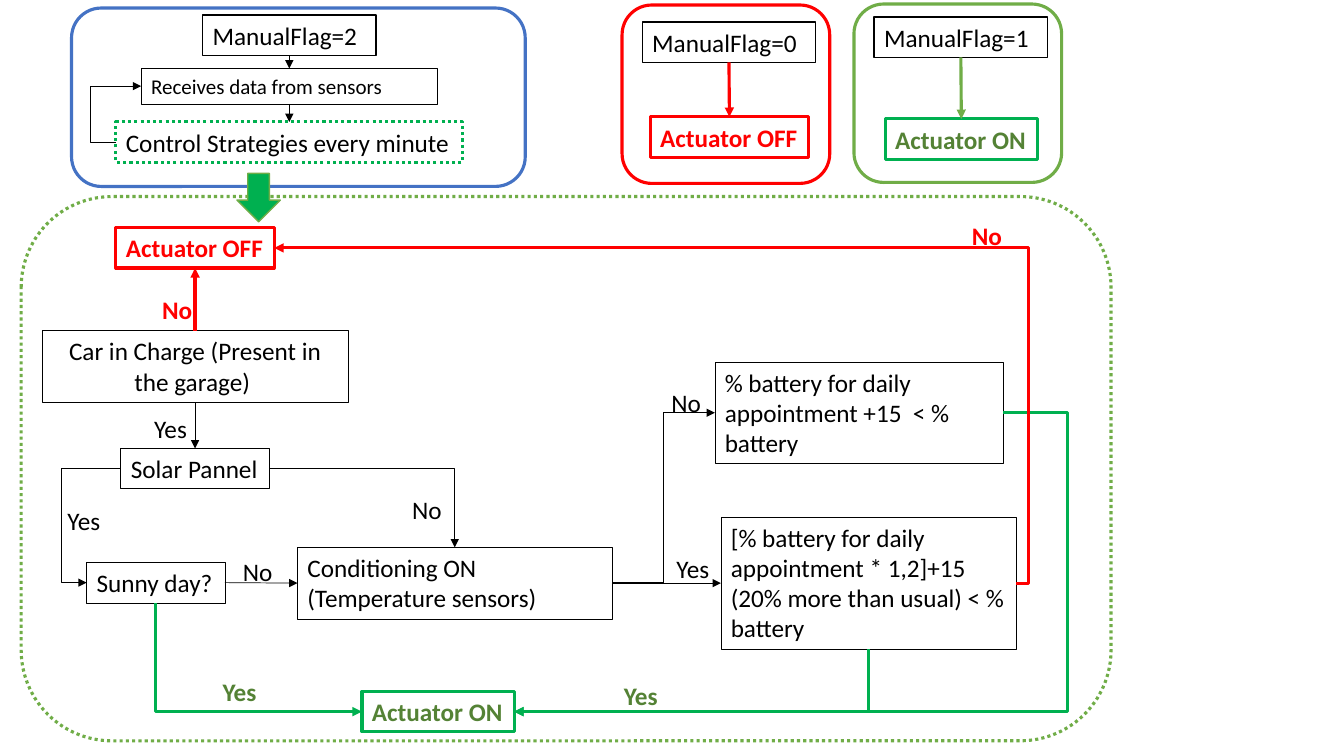
from dataclasses import dataclass

from lxml import etree
from pptx import Presentation
from pptx.dml.color import RGBColor
from pptx.enum.dml import MSO_LINE
from pptx.enum.shapes import MSO_CONNECTOR, MSO_SHAPE
from pptx.enum.text import MSO_ANCHOR, MSO_AUTO_SIZE, PP_ALIGN
from pptx.oxml.ns import qn
from pptx.util import Inches, Pt

RECTANGLE, ROUNDED, DOWN_ARROW = MSO_SHAPE.RECTANGLE, MSO_SHAPE.ROUNDED_RECTANGLE, MSO_SHAPE.DOWN_ARROW
STRAIGHT, ELBOW = MSO_CONNECTOR.STRAIGHT, MSO_CONNECTOR.ELBOW
DOTTED = MSO_LINE.ROUND_DOT
LEFT_ALIGNED, CENTRED = PP_ALIGN.LEFT, PP_ALIGN.CENTER
TOP, LEFT, BOTTOM, RIGHT = range(4)


@dataclass(frozen=True)
class Theme:
    font: str = "Calibri"
    size: float = 18
    small: float = 15
    black: str = "000000"
    red: str = "FF0000"
    green: str = "00B050"
    dark_green: str = "548235"
    soft_green: str = "70AD47"
    blue: str = "4472C4"
    hairline: float = 0.25
    thin: float = 0.5
    medium: float = 1
    thick: float = 2.25


THEME = Theme()
ROW = 0.4  # height of a one-line box, inches

# left, top, width, height, line colour, dash
PANELS = [
    (0.71, 0.08, 4.5, 1.77, THEME.blue, None),
    (6.17, 0.05, 2.06, 1.77, THEME.red, None),
    (8.47, 0.04, 2.06, 1.77, THEME.soft_green, None),
    (0.21, 1.95, 10.81, 5.4, THEME.soft_green, DOTTED),
]
DOWN_ARROW_AREA = (2.35, 1.72, 0.43, 0.48)

# name: text, left, top, width, height, line width
STEPS = {
    "automatic": ("ManualFlag=2", 2.01, 0.15, 1.72, ROW, THEME.medium),
    "manual off": ("ManualFlag=0", 6.37, 0.22, 1.72, ROW, THEME.medium),
    "manual on": ("ManualFlag=1", 8.67, 0.17, 1.72, ROW, THEME.medium),
    "sensors": ("Receives data from sensors", 1.4, 0.68, 2.94, 0.35, THEME.hairline),
    "strategies": ("Control Strategies every minute", 1.15, 1.21, 3.44, ROW, THEME.thick),
    "car": ("Car in Charge (Present in the garage) ", 0.42, 3.28, 3.03, 0.71, THEME.hairline),
    "solar": ("Solar Pannel", 1.2, 4.45, 1.47, ROW, 0.75),
    "sunny": ("Sunny day?", 0.86, 5.58, 1.37, ROW, THEME.hairline),
    "conditioning": ("Conditioning ON (Temperature sensors)", 2.95, 5.43, 3.12, 0.71, THEME.hairline),
    "daily battery": ("% battery for daily appointment +15  < % battery", 7.09, 3.59, 2.86, 1.01, THEME.hairline),
    "extra battery": ("[% battery for daily appointment * 1,2]+15 (20% more than usual) < % battery",
                      7.15, 5.13, 2.93, 1.31, THEME.hairline),
}
# name: left, top of the actuator boxes
ACTUATORS_OFF = {"off": (1.15, 2.26), "off by hand": (6.45, 1.16)}
ACTUATORS_ON = {"on": (3.59, 6.86), "on by hand": (8.78, 1.18)}
ONE_LINERS = {"strategies", "solar", "sunny", *ACTUATORS_OFF, *ACTUATORS_ON}

# text, left, top, width, height, colour
LABELS = [
    ("No", 1.51, 2.87, 0.5, ROW, THEME.red),
    ("No", 9.54, 2.14, 0.5, ROW, THEME.red),
    ("Yes", 2.11, 6.66, 0.56, ROW, THEME.dark_green),
    ("Yes", 6.09, 6.7, 0.54, ROW, THEME.dark_green),
    ("Yes", 1.43, 4.05, 0.53, 0.71, THEME.black),
    ("Yes", 0.57, 4.96, 0.53, ROW, THEME.black),
    ("Yes", 6.61, 5.44, 0.53, ROW, THEME.black),
    ("No", 2.31, 5.47, 0.5, ROW, THEME.black),
    ("No", 6.56, 3.79, 0.5, ROW, THEME.black),
    ("No", 3.99, 4.85, 0.5, ROW, THEME.black),
]

# from, side, to, side, colour, width
STRAIGHT_LINKS = [
    ("automatic", BOTTOM, "sensors", TOP, THEME.black, THEME.thin),
    ("sensors", BOTTOM, "strategies", TOP, THEME.black, THEME.thin),
    ("manual off", BOTTOM, "off by hand", TOP, THEME.red, THEME.thick),
    ("manual on", BOTTOM, "on by hand", TOP, THEME.soft_green, THEME.thick),
    ("car", TOP, "off", BOTTOM, THEME.red, THEME.thick),
    ("car", BOTTOM, "solar", TOP, THEME.black, THEME.thin),
    ("sunny", RIGHT, "conditioning", LEFT, THEME.black, THEME.thin),
    ("conditioning", RIGHT, "extra battery", LEFT, THEME.black, THEME.thin),
]
# the same, then the x of the vertical stretch
LANE_LINKS = [
    ("strategies", LEFT, "sensors", LEFT, THEME.black, THEME.thin, 0.9),
    ("solar", LEFT, "sunny", LEFT, THEME.black, THEME.thin, 0.61),
    ("conditioning", RIGHT, "daily battery", LEFT, THEME.black, THEME.medium, 6.58),
    ("daily battery", RIGHT, "off", RIGHT, THEME.red, THEME.thick, 10.2),
    ("daily battery", RIGHT, "on", RIGHT, THEME.green, THEME.thick, 10.59),
]
# one corner, horizontal stretch first; the last item is the arrow's end
CORNER_LINKS = [
    ("solar", RIGHT, "conditioning", TOP, THEME.black, THEME.thin, "tailEnd"),
    ("on", LEFT, "sunny", BOTTOM, THEME.green, THEME.thick, "headEnd"),
    ("on", RIGHT, "extra battery", BOTTOM, THEME.green, THEME.thick, "headEnd"),
]
RED_JOIN = (10.2, 3.99)

presentation = Presentation()
presentation.slide_width, presentation.slide_height = Inches(13.33), Inches(7.5)
slide = presentation.slides.add_slide(presentation.slide_layouts[6])
boxes = {}


def set_line(line, colour, width, dash=None):
    line.color.rgb = RGBColor.from_string(colour)
    line.width = Pt(width)
    if dash is not None:
        line.dash_style = dash


def add_outline(kind, area, colour, width, dash=None):
    shape = slide.shapes.add_shape(kind, *map(Inches, area))
    shape.shadow.inherit = False
    shape.fill.background()
    set_line(shape.line, colour, width, dash)
    return shape


def write(shape, text, colour, size=THEME.size, align=LEFT_ALIGNED, wrap=True):
    frame = shape.text_frame
    frame.word_wrap = wrap
    frame.auto_size = MSO_AUTO_SIZE.SHAPE_TO_FIT_TEXT
    frame.vertical_anchor = MSO_ANCHOR.TOP
    paragraph = frame.paragraphs[0]
    paragraph.alignment = align
    run = paragraph.add_run()
    run.text = text
    run.font.name, run.font.size = THEME.font, Pt(size)
    run.font.bold = colour != THEME.black
    run.font.color.rgb = RGBColor.from_string(colour)


def add_box(name, text, area, line_colour, width, text_colour):
    dash = DOTTED if name == "strategies" else None
    boxes[name] = add_outline(RECTANGLE, area, line_colour, width, dash)
    write(boxes[name], text, text_colour,
          size=THEME.small if name == "sensors" else THEME.size,
          align=CENTRED if name == "car" else LEFT_ALIGNED,
          wrap=name not in ONE_LINERS)


def link(kind, start, start_side, end, end_side, colour, width, arrow="tailEnd", lane=None, corner=False):
    """Join two boxes; end may also be a free point when end_side is None."""
    free_end = map(Inches, end if end_side is None else (0, 0))
    connector = slide.shapes.add_connector(kind, 0, 0, *free_end)
    connector.begin_connect(boxes[start], start_side)
    if end_side is not None:
        connector.end_connect(boxes[end], end_side)
    set_line(connector.line, colour, width)
    properties = connector._element.spPr
    if arrow:
        etree.SubElement(properties.find(qn("a:ln")), qn(f"a:{arrow}"), type="triangle")
    geometry = properties.find(qn("a:prstGeom"))
    if corner:
        geometry.set("prst", "bentConnector2")
    if lane is not None:
        share = (Inches(lane) - connector.begin_x) / (connector.end_x - connector.begin_x)
        guides = geometry.find(qn("a:avLst"))
        etree.SubElement(guides, qn("a:gd"), name="adj1", fmla=f"val {round(share * 100000)}")
    etree.SubElement(properties, qn("a:effectLst"))


for *area, colour, dash in PANELS:
    add_outline(ROUNDED, area, colour, THEME.thick, dash)
down_arrow = add_outline(DOWN_ARROW, DOWN_ARROW_AREA, THEME.soft_green, THEME.medium)
down_arrow.fill.solid()
down_arrow.fill.fore_color.rgb = RGBColor.from_string(THEME.green)

for name, (text, *area, width) in STEPS.items():
    add_box(name, text, area, THEME.green if name == "strategies" else THEME.black, width, THEME.black)
for name, corner in ACTUATORS_OFF.items():
    add_box(name, "Actuator OFF", (*corner, 1.57, ROW), THEME.red, THEME.thick, THEME.red)
for name, corner in ACTUATORS_ON.items():
    add_box(name, "Actuator ON", (*corner, 1.51, ROW), THEME.green, THEME.thick, THEME.dark_green)

for ends in STRAIGHT_LINKS:
    link(STRAIGHT, *ends)
for *ends, lane in LANE_LINKS:
    link(ELBOW, *ends, lane=lane)
for *ends, arrow in CORNER_LINKS:
    link(ELBOW, *ends, arrow=arrow, corner=True)
link(ELBOW, "extra battery", RIGHT, RED_JOIN, None, THEME.red, THEME.thick, arrow=None, corner=True)

for text, *area, colour in LABELS:
    write(slide.shapes.add_textbox(*map(Inches, area)), text, colour, wrap=False)

presentation.save("out.pptx")
